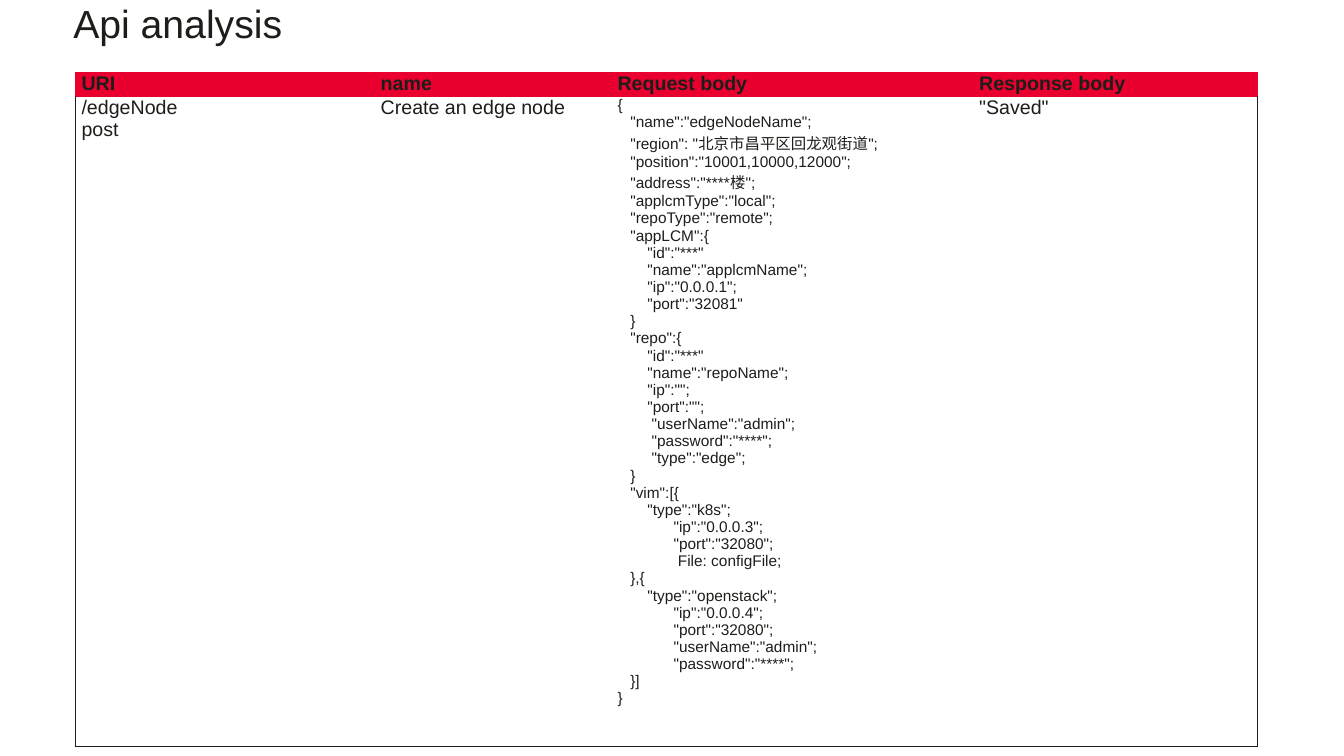
from lxml import etree
from pptx import Presentation
from pptx import util as u
from pptx.dml.color import RGBColor
from pptx.enum import text
from pptx.oxml import ns

INK = RGBColor(0x1D, 0x1D, 0x1A)
RED = RGBColor(0xE9, 0x00, 0x2F)

HEADINGS = ["URI", "name", "Request body", "Response body"]
COLUMN_PERCENTS = [22.26, 17.62, 26.91, 21.14]
ROW_PERCENTS = [3.2, 85.87]
REQUEST_BODY = """{
   "name":"edgeNodeName";
   "region": "北京市昌平区回龙观街道";
   "position":"10001,10000,12000";
   "address":"****楼";
   "applcmType":"local";
   "repoType":"remote";
   "appLCM":{
       "id":"***"
       "name":"applcmName";
       "ip":"0.0.0.1";
       "port":"32081"
   }
   "repo":{
       "id":"***"
       "name":"repoName";
       "ip":"";
       "port":"";
        "userName":"admin";
        "password":"****";
        "type":"edge";
   }
   "vim":[{
       "type":"k8s";
\t   "ip":"0.0.0.3";
\t   "port":"32080";
\t    File: configFile;
   },{
       "type":"openstack";
\t   "ip":"0.0.0.4";
\t   "port":"32080";
\t   "userName":"admin";
\t   "password":"****";
   }]
}"""
VALUES = ["/edgeNode\npost", "Create an edge node", REQUEST_BODY, '"Saved"']


class ApiSlide:
    font_name = "Arial"
    tab_stop = u.Inches(0.43)
    cell_inset = u.Inches(0.06)
    border_width = u.Pt(0.5)

    def __init__(self, presentation):
        self.width = presentation.slide_width
        self.height = presentation.slide_height
        self.slide = presentation.slides.add_slide(presentation.slide_layouts[6])

    def across(self, percent):
        return round(self.width * percent / 100)

    def down(self, percent):
        return round(self.height * percent / 100)

    def format_runs(self, paragraph, size, bold=False):
        for run in paragraph.runs:
            run.font.name = self.font_name
            run.font.size = u.Pt(size)
            run.font.bold = bold
            run.font.color.rgb = INK

    def title(self, words, left, top, width, height):
        box = self.slide.shapes.add_textbox(
            self.across(left), self.down(top), self.across(width), self.down(height))
        box.text_frame.word_wrap = True
        box.text_frame.text = words
        paragraph = box.text_frame.paragraphs[0]
        paragraph.line_spacing = 0.9
        self.format_runs(paragraph, 28)

    def border(self, cell, side, color):
        properties = cell._tc.get_or_add_tcPr()
        line = etree.SubElement(properties, ns.qn(f"a:ln{side}"), w=str(self.border_width))
        if color is None:
            etree.SubElement(line, ns.qn("a:noFill"))
        else:
            fill = etree.SubElement(line, ns.qn("a:solidFill"))
            etree.SubElement(fill, ns.qn("a:srgbClr"), val=str(color))

    def cell(self, cell, words, size, bold, justified):
        cell.margin_left = cell.margin_right = self.cell_inset
        cell.margin_top = cell.margin_bottom = 0
        cell.text_frame.text = words
        for paragraph in cell.text_frame.paragraphs:
            tabs = etree.SubElement(paragraph._p.get_or_add_pPr(), ns.qn("a:tabLst"))
            etree.SubElement(tabs, ns.qn("a:tab"), pos=str(self.tab_stop), algn="l")
            if justified:
                paragraph.alignment = text.PP_ALIGN.JUSTIFY
            self.format_runs(paragraph, size, bold)

    def table(self, left, top):
        frame = self.slide.shapes.add_table(
            2, len(HEADINGS), self.across(left), self.down(top),
            self.across(sum(COLUMN_PERCENTS)), self.down(sum(ROW_PERCENTS)))
        table = frame.table
        table.first_row = table.horz_banding = False
        for column, percent in zip(table.columns, COLUMN_PERCENTS):
            column.width = self.across(percent)
        for row, percent in zip(table.rows, ROW_PERCENTS):
            row.height = self.down(percent)
        last = len(HEADINGS) - 1
        for index, (heading, value) in enumerate(zip(HEADINGS, VALUES)):
            header, body = table.cell(0, index), table.cell(1, index)
            self.cell(header, heading, 14, True, index < last)
            self.cell(body, value, 11 if value == REQUEST_BODY else 14, False, index < 2)
            for side in "LRTB":
                self.border(header, side, RED)
            self.border(body, "L", INK if index == 0 else None)
            self.border(body, "R", INK if index == last else None)
            self.border(body, "T", RED)
            self.border(body, "B", INK)
            header.fill.solid()
            header.fill.fore_color.rgb = RED
            body.fill.background()


def main():
    presentation = Presentation()
    presentation.slide_width = u.Inches(13.34)
    presentation.slide_height = u.Inches(7.5)
    api_slide = ApiSlide(presentation)
    api_slide.title("Api analysis", 4.72, 0, 77.89, 11.07)
    api_slide.table(5.62, 9.6)
    presentation.save("out.pptx")


if __name__ == "__main__":
    main()
